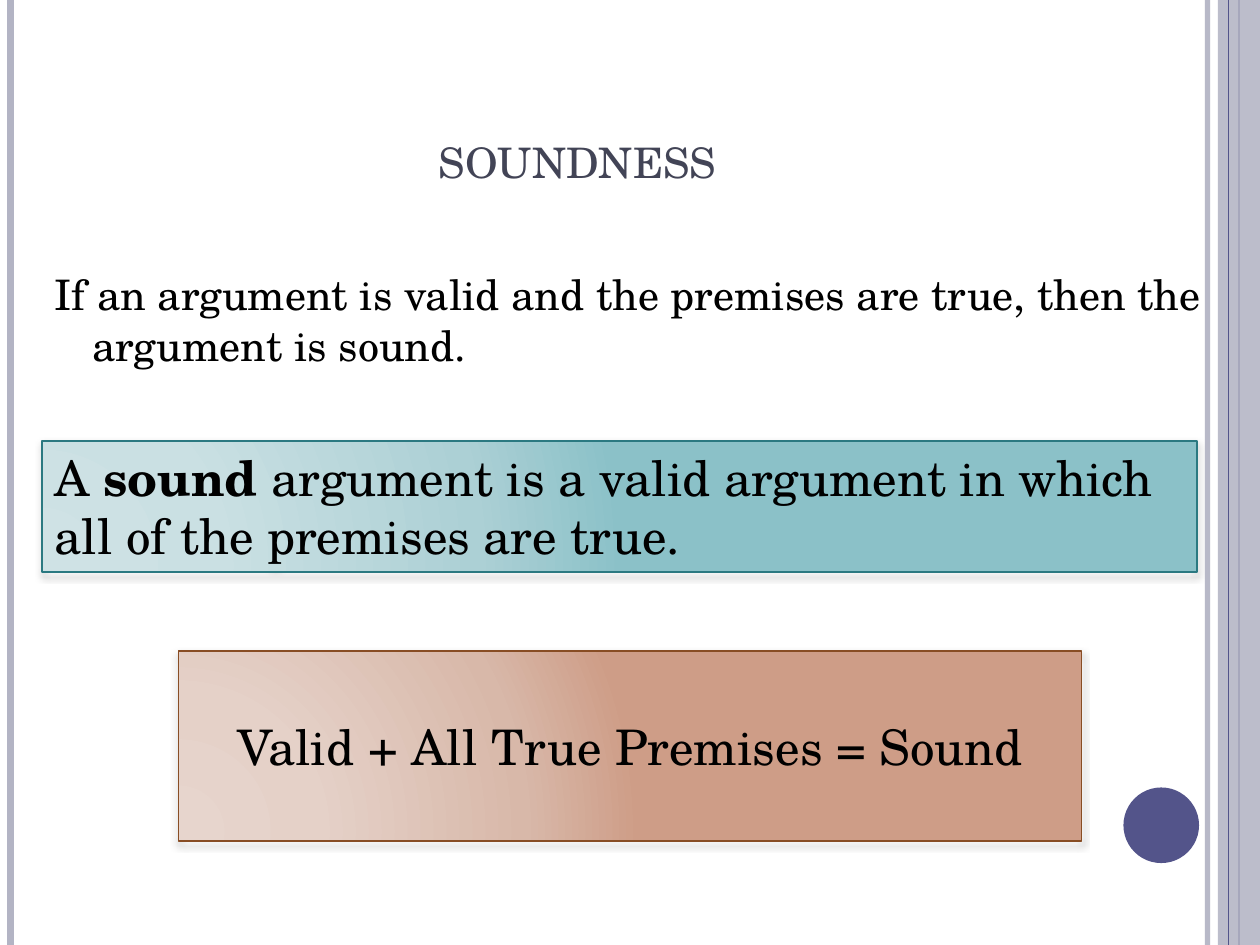
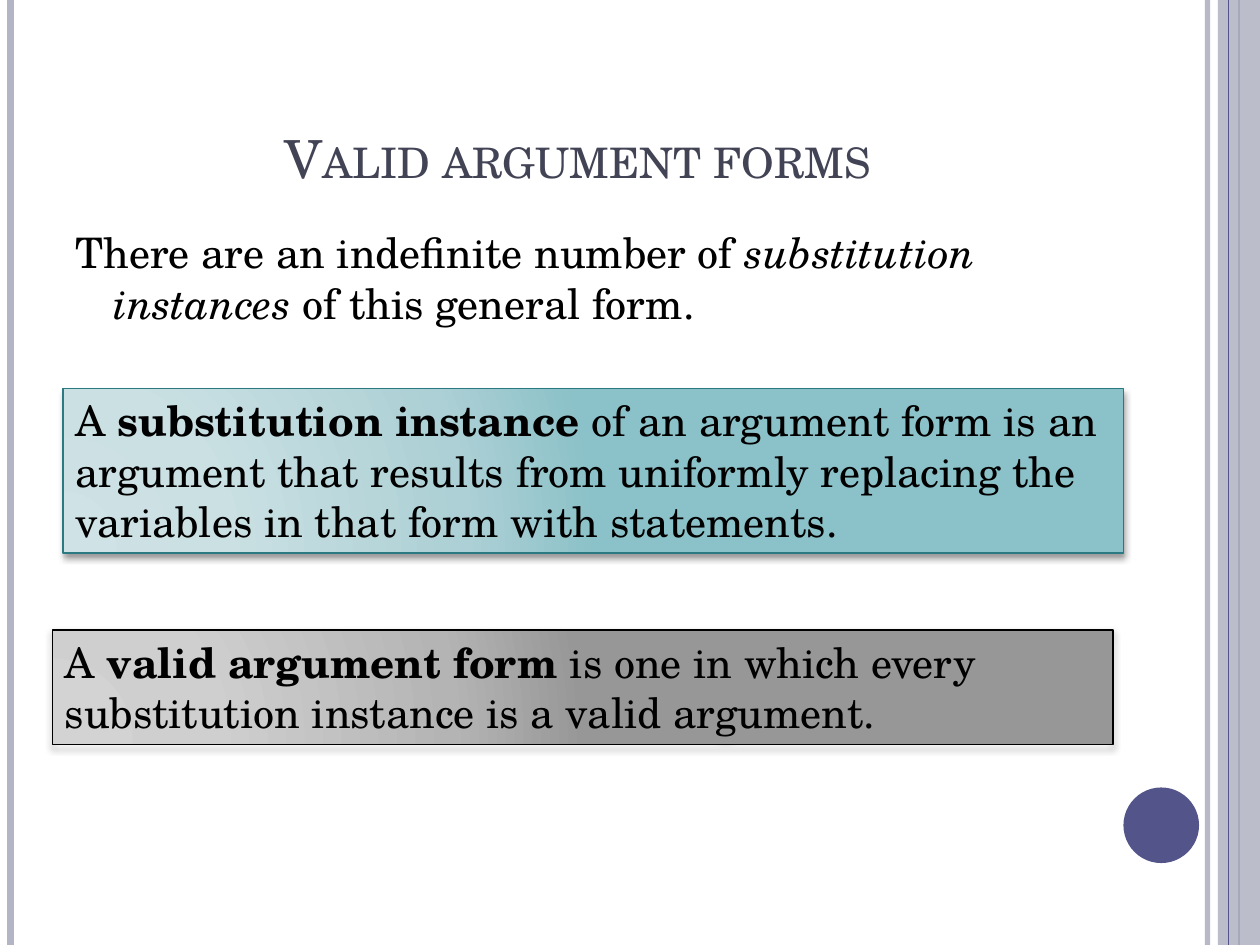
"""Build two logic slides on soundness and valid argument forms."""
import pptx
import pptx.dml.color
import pptx.enum.shapes
import pptx.enum.text
import pptx.oxml
import pptx.oxml.ns
import pptx.util

RGB = pptx.dml.color.RGBColor
SHAPE = pptx.enum.shapes.MSO_SHAPE
ALIGN = pptx.enum.text.PP_ALIGN
ANCHOR = pptx.enum.text.MSO_ANCHOR
Pt = pptx.util.Pt
qn = pptx.oxml.ns.qn

INK = RGB(0x00, 0x00, 0x00)
SLATE = RGB(0x42, 0x44, 0x56)
INDIGO = RGB(0x53, 0x54, 0x8A)
MIST = RGB(0xB3, 0xB4, 0xC4)
TEAL = RGB(0x2B, 0x79, 0x81)
RUST = RGB(0x88, 0x4D, 0x24)
TEALS = [RGB(0xCF, 0xE2, 0xE5), RGB(0xCA, 0xE0, 0xE3),
         RGB(0xAC, 0xD0, 0xD5), RGB(0x8B, 0xC1, 0xC8)]
RUSTS = [RGB(0xE7, 0xD5, 0xCD), RGB(0xE5, 0xD1, 0xC8),
         RGB(0xD8, 0xB8, 0xA9), RGB(0xCE, 0x9D, 0x87)]
GREYS = [RGB(0xD3, 0xD3, 0xD3), RGB(0xCF, 0xCF, 0xCF),
         RGB(0xB4, 0xB4, 0xB4), RGB(0x97, 0x97, 0x97)]
STOPS = [0, 30, 75, 100]
COLS, ROWS = 120, 90
FONT = "TeX Gyre Schola"


def node(xml):
    return pptx.oxml.parse_xml(xml.replace(">", f" {pptx.oxml.ns.nsdecls('a')}>", 1))


def fade(part, share):
    for color in part.iter(qn("a:srgbClr")):
        color.append(node(f'<a:alpha val="{share * 1000}"></a:alpha>'))


class Deck:
    """Hold the shared style and the current slide."""

    def __init__(self):
        self.show = pptx.Presentation()
        self.show.slide_width = pptx.util.Inches(10)
        self.show.slide_height = pptx.util.Inches(7.5)
        self.unit = self.show.slide_width / COLS
        self.slide = None

    def grid(self, *cells):
        return [round(cell * self.unit) for cell in cells]

    def page(self, title):
        self.slide = self.show.slides.add_slide(self.show.slide_layouts[6])
        self.rule(115, MIST, 3, 93)
        self.rule(1, MIST, 4.5)
        self.rule(118, INDIGO, 1.5)
        self.solid(SHAPE.RECTANGLE, (116, 0, 4, ROWS), MIST, 87)
        self.rule(117, INDIGO, 0.75)
        self.solid(SHAPE.OVAL, (107, 75, 7.2, 7.2), INDIGO)
        self.title(title)

    def rule(self, col, color, width, share=100):
        ends = self.grid(col, 0, col, ROWS)
        line = self.slide.shapes.add_connector(
            pptx.enum.shapes.MSO_CONNECTOR.STRAIGHT, *ends)
        line.line.color.rgb = color
        line.line.width = Pt(width)
        props = line._element.spPr
        if share < 100:
            fade(props, share)
        props.append(node("<a:effectLst></a:effectLst>"))

    def solid(self, kind, area, color, share=100):
        shape = self.slide.shapes.add_shape(kind, *self.grid(*area))
        shape.shadow.inherit = False
        shape.fill.solid()
        shape.fill.fore_color.rgb = color
        shape.line.fill.background()
        if share < 100:
            fade(shape._element.spPr, share)

    def label(self, shape, parts, size, color=INK, align=ALIGN.LEFT):
        """Fill a shape with one paragraph of (text, style) parts."""
        frame = shape.text_frame
        frame.word_wrap = True
        para = frame.paragraphs[0]
        para.alignment = align
        for text, style in parts:
            run = para.add_run()
            run.text = text
            run.font.name = FONT
            run.font.size = Pt(size)
            run.font.color.rgb = color
            run.font.bold = style == "bold"
            run.font.italic = style == "italic"
        return para

    def title(self, text):
        box = self.slide.shapes.add_textbox(*self.grid(6, 3.6, 98, 15))
        para = self.label(box, [(text, "")], 30, SLATE, ALIGN.CENTER)
        box.text_frame.vertical_anchor = ANCHOR.BOTTOM
        para.runs[0].font._element.set("cap", "small")

    def body(self, area, parts):
        box = self.slide.shapes.add_textbox(*self.grid(*area))
        para = self.label(box, parts, 24)
        hang, = self.grid(3.6)
        props = para._p.get_or_add_pPr()
        props.set("marL", str(hang))
        props.set("indent", str(-hang))

    def panel(self, area, parts, tints, edge, size=24, align=ALIGN.LEFT,
              anchor=ANCHOR.TOP):
        shape = self.slide.shapes.add_shape(SHAPE.RECTANGLE, *self.grid(*area))
        shape.line.color.rgb = edge
        shape.line.width = Pt(1)
        shape.fill.background()
        shape.shadow.inherit = False
        stops = "".join(
            f'<a:gs pos="{stop * 1000}"><a:srgbClr val="{tint}"/></a:gs>'
            for stop, tint in zip(STOPS, tints))
        props = shape._element.spPr
        props.replace(props.find(qn("a:noFill")), node(
            f'<a:gradFill rotWithShape="1"><a:gsLst>{stops}</a:gsLst>'
            '<a:path path="circle"><a:fillToRect l="5000" t="100000" '
            'r="120000" b="10000"/></a:path></a:gradFill>'))
        props.find(qn("a:effectLst")).append(node(
            f'<a:outerShdw blurRad="{Pt(4)}" dist="{Pt(2)}" dir="5400000" '
            'rotWithShape="0"><a:srgbClr val="000000">'
            '<a:alpha val="40000"/></a:srgbClr></a:outerShdw>'))
        self.label(shape, parts, size, align=align)
        shape.text_frame.vertical_anchor = anchor


def main():
    deck = Deck()

    deck.page("soundness")
    deck.body((4, 25, 111.6, 17), [
        ("If an argument is valid and the premises are true, "
         "then the argument is sound.", "")])
    deck.panel((4, 42, 110, 12.5), [
        ("A ", ""), ("sound ", "bold"),
        ("argument is a valid argument in which all of the premises are true.", "")],
        TEALS, TEAL, 28)
    deck.panel((17, 62, 86, 18.1), [("Valid + All True Premises = Sound", "")],
               RUSTS, RUST, 28, ALIGN.CENTER, ANCHOR.MIDDLE)

    deck.page("Valid argument forms")
    deck.body((6, 21, 98, 64), [
        ("There are an indefinite number of ", ""),
        ("substitution instances ", "italic"), ("of this general form.", "")])
    deck.panel((6, 37, 101, 15.7), [
        ("A ", ""), ("substitution instance ", "bold"),
        ("of an argument form is an argument that results from uniformly "
         "replacing the variables in that form with statements.", "")],
        TEALS, TEAL)
    deck.panel((5, 60, 101, 10.9), [
        ("A ", ""), ("valid argument form ", "bold"),
        ("is one in which every substitution instance is a valid argument.", "")],
        GREYS, INK)

    deck.show.save("out.pptx")


if __name__ == "__main__":
    main()
